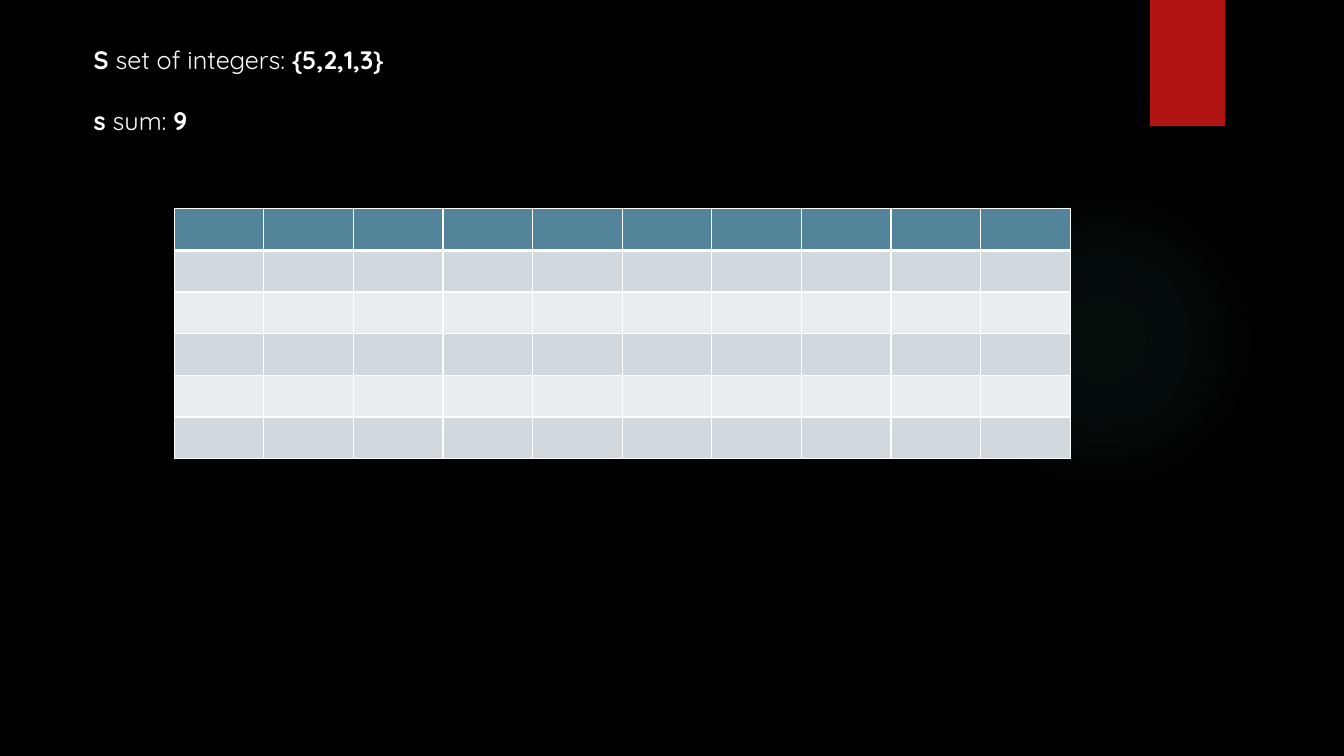
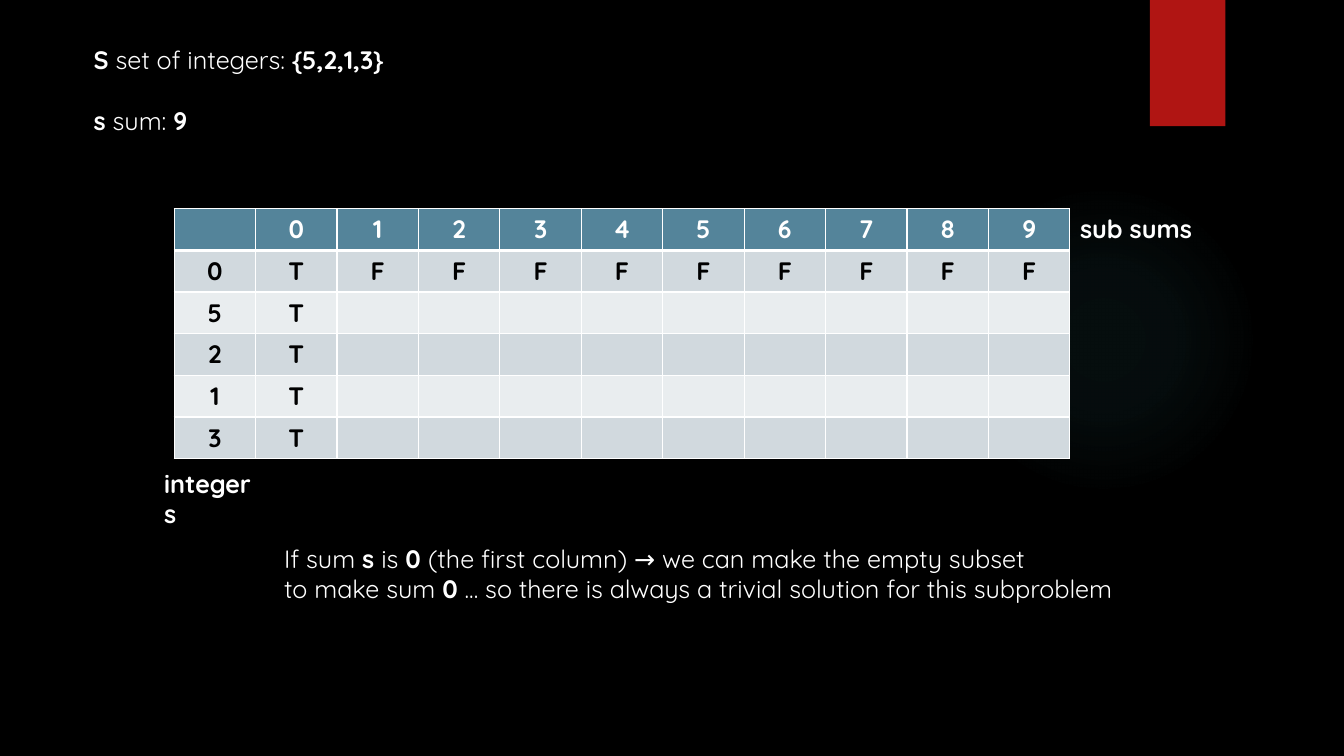
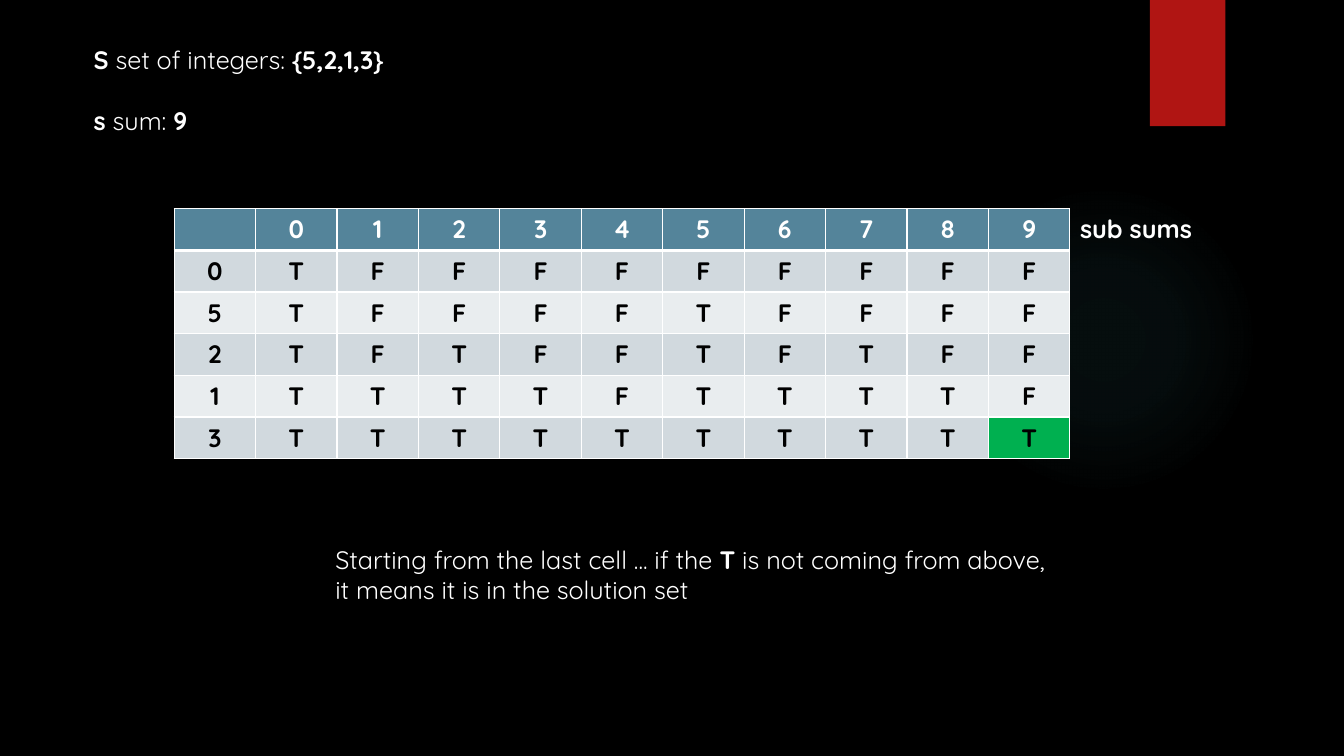
"""Build three slides that solve the subset sum problem with a table."""
from dataclasses import dataclass

from lxml.etree import SubElement
from pptx import Presentation
from pptx.dml.color import RGBColor
from pptx.enum.shapes import MSO_SHAPE
from pptx.enum.text import PP_ALIGN
from pptx.oxml import parse_xml
from pptx.oxml.ns import nsdecls, qn
from pptx.util import Cm, Pt


@dataclass(frozen=True)
class Theme:
    """Colours and type used on every slide."""
    font: str = "Quicksand"
    size: int = 18
    background: str = "000000"
    light: str = "FFFFFF"
    dark: str = "000000"
    ribbon: str = "B01513"
    glow: str = "50B9C1"
    header: str = "54849A"
    bands: tuple = ("D1D9DE", "E9EDEF")
    answer: str = "00B050"
    thin: int = 1
    thick: int = 3


THEME = Theme()
BOLD, PLAIN = True, False

GLOW_BOX = (23.9, 4.65, 7.82, 7.82)
GLOW_STOPS = [(0, 7), (36, 6), (69, 0)]
RIBBON_BOX = (28.98, 0, 1.9, 3.18)
TABLE_LEFT, TABLE_TOP, TABLE_WIDTH, ROW_HEIGHT = 4.39, 5.26, 22.58, 1.05

PROBLEM = ((2.11, 0.99, 8.1, 2.57), [
    [("S", BOLD), (" set of integers: ", PLAIN), ("{5,2,1,3}", BOLD)],
    [("s", BOLD), (" sum: ", PLAIN), ("9", BOLD)],
])
SUB_SUMS = ((26.97, 5.26, 3.38, 1.03), [[("sub sums", BOLD)]])
INTEGERS = ((3.89, 11.68, 2.92, 1.03), [[("integers", BOLD)]])
FIRST_COLUMN_NOTE = ((6.91, 13.56, 22.33, 1.8), [
    [("If sum ", PLAIN), ("s ", BOLD), ("is ", PLAIN), ("0 ", BOLD),
     ("(the first column) → we can make the empty subset", PLAIN)],
    [("to make sum ", PLAIN), ("0", BOLD),
     (" ... so there is always a trivial solution for this subproblem", PLAIN)],
])
LAST_CELL_NOTE = ((8.2, 13.59, 19.53, 1.8), [
    [("Starting from the last cell ... if the ", PLAIN), ("T", BOLD),
     (" is not coming from above,", PLAIN)],
    [("it means it is in the solution set", PLAIN)],
])

SUMS = " 0123456789"
SLIDES = [
    {"rows": [""] * 6, "columns": 10, "answer": None, "texts": []},
    {"rows": [SUMS, "0TFFFFFFFFF", "5T", "2T", "1T", "3T"],
     "columns": 11, "answer": None,
     "texts": [SUB_SUMS, INTEGERS, FIRST_COLUMN_NOTE]},
    {"rows": [SUMS, "0TFFFFFFFFF", "5TFFFFTFFFF", "2TFTFFTFTFF",
              "1TTTTFTTTTF", "3TTTTTTTTTT"],
     "columns": 11, "answer": (5, 10),
     "texts": [SUB_SUMS, LAST_CELL_NOTE]},
]


def paint(fill, colour):
    fill.solid()
    fill.fore_color.rgb = RGBColor.from_string(colour)


def add_span(para, text, bold, colour):
    span = para.add_run()
    span.text = text
    span.font.name = THEME.font
    span.font.size = Pt(THEME.size)
    span.font.bold = bold
    span.font.color.rgb = RGBColor.from_string(colour)


def add_plain_shape(page, kind, box):
    shape = page.shapes.add_shape(kind, *map(Cm, box))
    shape.shadow.inherit = False
    shape.line.fill.background()
    return shape


def add_backdrop(page):
    glow = add_plain_shape(page, MSO_SHAPE.OVAL, GLOW_BOX)
    stops = "".join(
        f'<a:gs pos="{place * 1000}"><a:srgbClr val="{THEME.glow}">'
        f'<a:alpha val="{alpha * 1000}"/></a:srgbClr></a:gs>'
        for place, alpha in GLOW_STOPS)
    gradient = parse_xml(
        f'<a:gradFill {nsdecls("a")} rotWithShape="1"><a:gsLst>{stops}</a:gsLst>'
        '<a:path path="circle"><a:fillToRect l="50000" t="50000" r="50000" b="50000"/>'
        '</a:path></a:gradFill>')
    glow.element.spPr.find(qn("a:prstGeom")).addnext(gradient)
    ribbon = add_plain_shape(page, MSO_SHAPE.RECTANGLE, RIBBON_BOX)
    paint(ribbon.fill, THEME.ribbon)


def add_text(page, box, lines, gap=0):
    frame = page.shapes.add_textbox(*map(Cm, box)).text_frame
    frame.word_wrap = True
    for index, line in enumerate(lines):
        para = frame.add_paragraph() if index else frame.paragraphs[0]
        para.space_before = Pt(gap if index else 0)
        for text, bold in line:
            add_span(para, text, bold, THEME.light)


def add_borders(cell, row):
    widths = {"L": THEME.thin, "R": THEME.thin,
              "T": THEME.thick if row == 1 else THEME.thin,
              "B": THEME.thick if row == 0 else THEME.thin}
    properties = cell._tc.get_or_add_tcPr()
    for side, width in widths.items():
        line = SubElement(properties, qn(f"a:ln{side}"), w=str(Pt(width)))
        fill = SubElement(line, qn("a:solidFill"))
        SubElement(fill, qn("a:srgbClr"), val=THEME.light)


def add_sums_table(page, rows, columns, answer):
    table = page.shapes.add_table(
        len(rows), columns, Cm(TABLE_LEFT), Cm(TABLE_TOP),
        Cm(TABLE_WIDTH), Cm(ROW_HEIGHT * len(rows))).table
    for column in table.columns:
        column.width = Cm(TABLE_WIDTH / columns)
    for row, values in enumerate(rows):
        table.rows[row].height = Cm(ROW_HEIGHT)
        for column, value in enumerate(values.ljust(columns)):
            cell = table.cell(row, column)
            add_borders(cell, row)
            colour = THEME.bands[(row - 1) % 2] if row else THEME.header
            paint(cell.fill, THEME.answer if (row, column) == answer else colour)
            if value.strip():
                para = cell.text_frame.paragraphs[0]
                para.alignment = PP_ALIGN.CENTER
                add_span(para, value, BOLD, THEME.dark if row else THEME.light)


def main():
    deck = Presentation()
    deck.slide_width, deck.slide_height = Cm(33.87), Cm(19.05)
    paint(deck.slide_master.background.fill, THEME.background)
    for content in SLIDES:
        page = deck.slides.add_slide(deck.slide_layouts[6])
        add_backdrop(page)
        add_sums_table(page, content["rows"], content["columns"], content["answer"])
        add_text(page, *PROBLEM, gap=22)
        for box, lines in content["texts"]:
            add_text(page, box, lines)
    deck.save("out.pptx")


if __name__ == "__main__":
    main()
